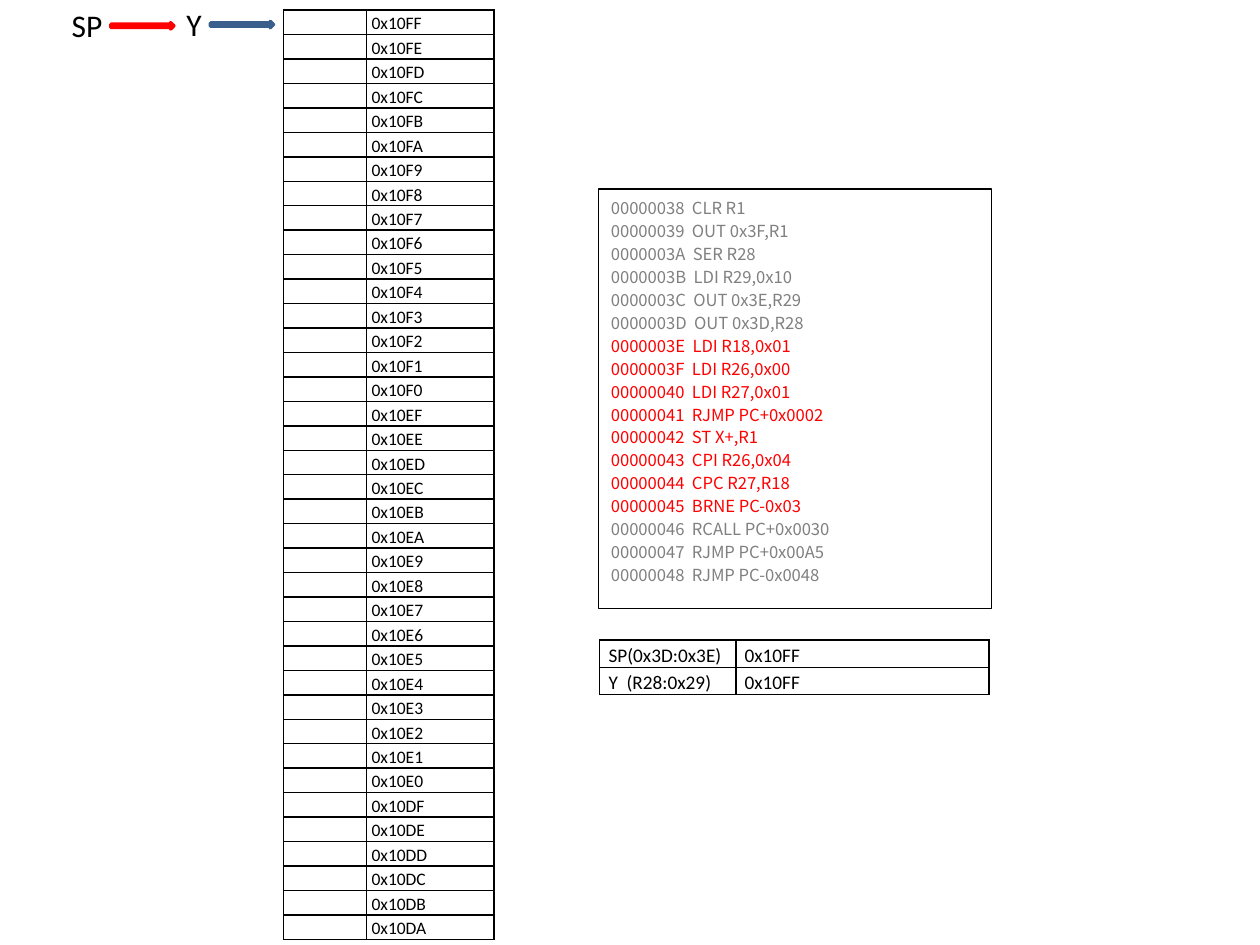
from dataclasses import dataclass

from lxml.etree import SubElement
from pptx import Presentation
from pptx.dml.color import RGBColor
from pptx.enum.shapes import MSO_SHAPE
from pptx.enum.text import MSO_ANCHOR, MSO_AUTO_SIZE, PP_ALIGN
from pptx.oxml.ns import qn
from pptx.util import Inches, Pt


@dataclass(frozen=True)
class Theme:
    """Colours, fonts and type sizes of the slide."""
    black: RGBColor = RGBColor(0x00, 0x00, 0x00)
    white: RGBColor = RGBColor(0xFF, 0xFF, 0xFF)
    grey: RGBColor = RGBColor(0x80, 0x80, 0x80)
    red: RGBColor = RGBColor(0xFF, 0x00, 0x00)
    blue: RGBColor = RGBColor(0x4F, 0x81, 0xBD)
    dark_blue: RGBColor = RGBColor(0x3A, 0x5F, 0x8C)
    font: str = "Calibri"
    code_font: str = "Noto Sans CJK SC"
    label_size: float = 18
    memory_size: float = 10
    register_size: float = 11
    code_size: float = 9.5
    line_spacing: float = 1.15


THEME = Theme()

MEMORY = [("", f"0x{address:04X}") for address in range(0x10FF, 0x10D9, -1)]
REGISTERS = [("SP(0x3D:0x3E)", "0x10FF"), ("Y  (R28:0x29)", "0x10FF")]
FIRST_ADDRESS = 0x38
ACTIVE_ADDRESSES = range(0x3E, 0x46)
INSTRUCTIONS = [
    "CLR R1",
    "OUT 0x3F,R1",
    "SER R28",
    "LDI R29,0x10",
    "OUT 0x3E,R29",
    "OUT 0x3D,R28",
    "LDI R18,0x01",
    "LDI R26,0x00",
    "LDI R27,0x01",
    "RJMP PC+0x0002",
    "ST X+,R1",
    "CPI R26,0x04",
    "CPC R27,R18",
    "BRNE PC-0x03",
    "RCALL PC+0x0030",
    "RJMP PC+0x00A5",
    "RJMP PC-0x0048",
]


def add_span(para, text, size, color, font=THEME.font):
    """Add one styled run to a paragraph."""
    span = para.add_run()
    span.text = text
    span.font.size = Pt(size)
    span.font.name = font
    span.font.color.rgb = color
    SubElement(span.font._element, qn("a:ea"), typeface=font)


def add_borders(cell):
    """Draw a thin black line on every side of a cell."""
    properties = cell._tc.get_or_add_tcPr()
    for side in ("a:lnL", "a:lnR", "a:lnT", "a:lnB"):
        line = SubElement(properties, qn(side), w=str(Pt(1)))
        fill = SubElement(line, qn("a:solidFill"))
        SubElement(fill, qn("a:srgbClr"), val=str(THEME.black))


def fill_cell(cell, text, size, inset):
    """Style a table cell and write its text."""
    cell.margin_left = cell.margin_right = Inches(inset)
    cell.margin_top = cell.margin_bottom = 0
    add_borders(cell)
    cell.fill.background()
    para = cell.text_frame.paragraphs[0]
    para.line_spacing = THEME.line_spacing
    if text:
        add_span(para, text, size, THEME.black)
    else:
        SubElement(para._p, qn("a:endParaRPr"), sz=str(size * 100))


def add_grid(page, left, top, widths, row_height, rows, size, inset):
    """Add a plain bordered table."""
    frame = page.shapes.add_table(
        len(rows), len(widths), Inches(left), Inches(top),
        Inches(sum(widths)), Inches(row_height * len(rows)))
    table = frame.table
    table.first_row = table.horz_banding = False
    for column, width in zip(table.columns, widths):
        column.width = Inches(width)
    for row, texts in zip(table.rows, rows):
        row.height = Inches(row_height)
        for cell, text in zip(row.cells, texts):
            fill_cell(cell, text, size, inset)


def add_listing(page, left, top, width, height):
    """Add the framed program listing with the active lines in red."""
    box = page.shapes.add_shape(
        MSO_SHAPE.RECTANGLE, Inches(left), Inches(top), Inches(width), Inches(height))
    box.shadow.inherit = False
    box.fill.solid()
    box.fill.fore_color.rgb = THEME.white
    box.line.color.rgb = THEME.black
    box.line.width = Pt(0.75)
    frame = box.text_frame
    frame.word_wrap = True
    frame.vertical_anchor = MSO_ANCHOR.TOP
    for index, instruction in enumerate(INSTRUCTIONS):
        address = FIRST_ADDRESS + index
        para = frame.add_paragraph() if index else frame.paragraphs[0]
        para.alignment = PP_ALIGN.LEFT
        para.line_spacing = THEME.line_spacing
        color = THEME.red if address in ACTIVE_ADDRESSES else THEME.grey
        add_span(para, f"{address:08X}  {instruction}", THEME.code_size, color,
                 THEME.code_font)


def add_pointer(page, name, left, top, width, arrow_left, arrow_top, line_color):
    """Add a grouped pointer name and its arrow."""
    group = page.shapes.add_group_shape()
    arrow = group.shapes.add_shape(
        MSO_SHAPE.RIGHT_ARROW, Inches(arrow_left), Inches(arrow_top),
        Inches(0.5), Inches(0.05))
    arrow.shadow.inherit = False
    arrow.fill.solid()
    arrow.fill.fore_color.rgb = THEME.blue
    arrow.line.color.rgb = line_color
    arrow.line.width = Pt(2)
    box = group.shapes.add_textbox(Inches(left), Inches(top), Inches(width), Inches(0.4))
    box.text_frame.word_wrap = False
    box.text_frame.auto_size = MSO_AUTO_SIZE.SHAPE_TO_FIT_TEXT
    add_span(box.text_frame.paragraphs[0], name, THEME.label_size, THEME.black)


def main():
    """Build the stack memory slide."""
    deck = Presentation()
    deck.slide_width, deck.slide_height = Inches(10), Inches(7.5)
    page = deck.slides.add_slide(deck.slide_layouts[6])
    add_grid(page, 2.25, 0.08, (0.66, 1.01), 0.19, MEMORY, THEME.memory_size, 0.04)
    add_grid(page, 4.76, 5.08, (1.08, 2.01), 0.21, REGISTERS, THEME.register_size, 0.07)
    add_listing(page, 4.75, 1.5, 3.12, 3.33)
    add_pointer(page, "Y", 1.38, -0.01, 0.31, 1.67, 0.17, THEME.dark_blue)
    add_pointer(page, "SP", 0.47, 0, 0.45, 0.88, 0.18, THEME.red)
    deck.save("out.pptx")


if __name__ == "__main__":
    main()
